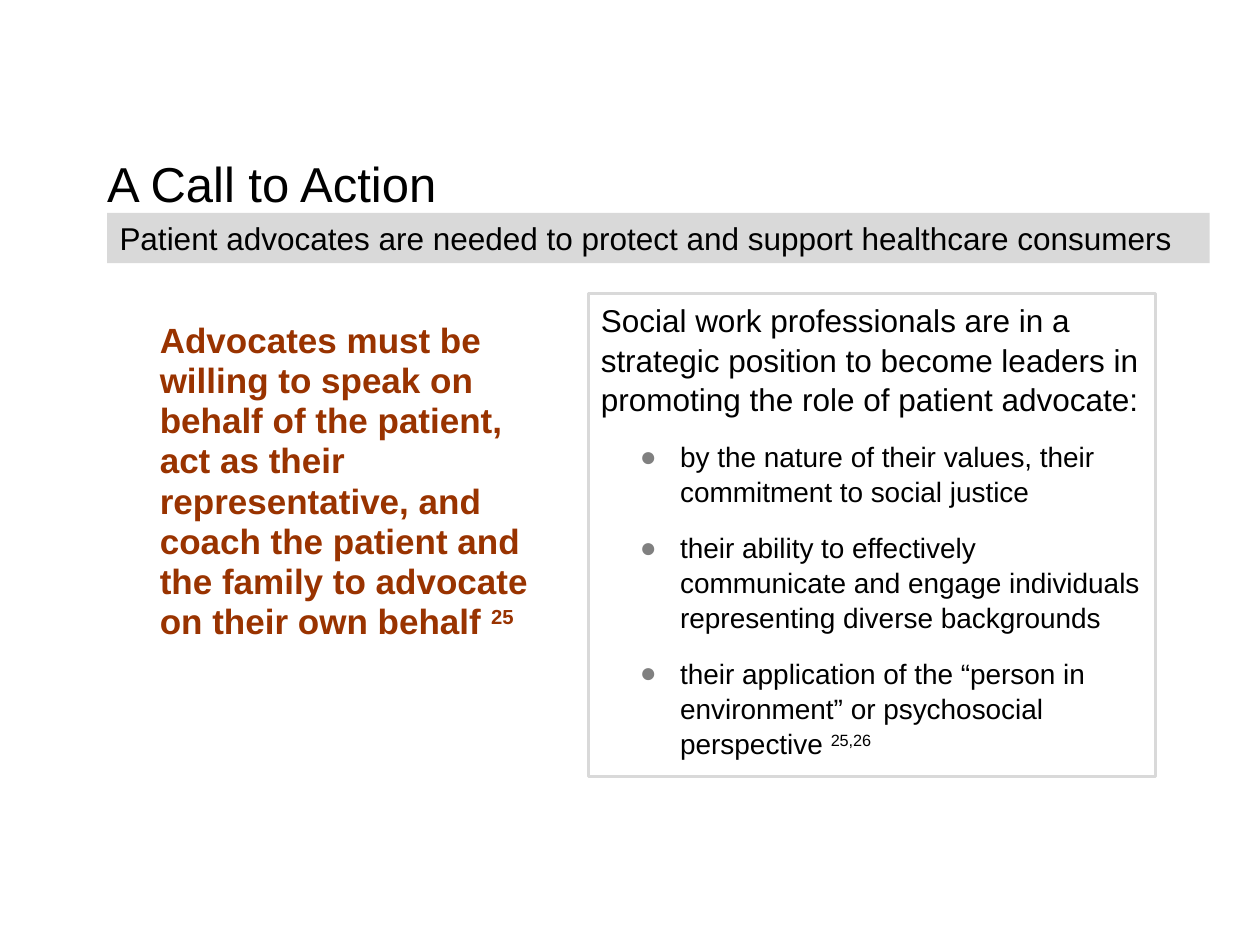
from dataclasses import dataclass

from lxml.etree import SubElement
from pptx import Presentation
from pptx.dml.color import RGBColor
from pptx.enum.shapes import MSO_SHAPE as Shape
from pptx.enum.text import MSO_ANCHOR as Anchor, PP_ALIGN as Align
from pptx.oxml.ns import qn
from pptx.util import Inches, Pt

BLACK = RGBColor(0x00, 0x00, 0x00)
WHITE = RGBColor(0xFF, 0xFF, 0xFF)
SILVER = RGBColor(0xD9, 0xD9, 0xD9)
GRAY = RGBColor(0x80, 0x80, 0x80)
RUST = RGBColor(0x99, 0x33, 0x00)
FONT = "Arial"
WIDTH, HEIGHT = Inches(10), Inches(7.5)


@dataclass(frozen=True)
class Area:
    """A rectangle in shares of the slide's size."""
    left: float
    top: float
    width: float
    height: float

    def bounds(self) -> tuple[int, int, int, int]:
        return (int(self.left * WIDTH), int(self.top * HEIGHT),
                int(self.width * WIDTH), int(self.height * HEIGHT))


@dataclass(frozen=True)
class Line:
    text: str
    size: int
    color: RGBColor = BLACK
    bold: bool = False
    note: str = ""
    before: float = 0
    spacing: object = None
    bullet: bool = False


TITLE = Area(0.075, 0.156, 0.875, 0.123)
BANNER = Area(0.085, 0.2253, 0.875, 0.0533)
QUOTE = Area(0.117, 0.332, 0.333, 0.357)
PANEL = Area(0.467, 0.3107, 0.45, 0.5107)


def add_span(para, line: Line, text: str, raised: bool = False) -> None:
    span = para.add_run()
    span.text = text
    font = span.font
    font.name, font.size, font.bold = FONT, Pt(line.size), line.bold
    font.color.rgb = line.color
    if raised:
        span._r.get_or_add_rPr().set("baseline", "30000")


def add_bullet(para) -> None:
    props = para._p.get_or_add_pPr()
    props.set("marL", str(Inches(0.63)))
    props.set("indent", str(Inches(-0.32)))
    color = SubElement(props, qn("a:buClr"))
    SubElement(color, qn("a:srgbClr")).set("val", str(GRAY))
    SubElement(props, qn("a:buFont")).set("typeface", FONT)
    SubElement(props, qn("a:buChar")).set("char", "●")


def write(box, lines: list[Line], anchor: Anchor = Anchor.TOP) -> None:
    frame = box.text_frame
    frame.word_wrap = True
    frame.vertical_anchor = anchor
    for index, line in enumerate(lines):
        para = frame.add_paragraph() if index else frame.paragraphs[0]
        para.alignment = Align.LEFT
        para.space_before = Pt(line.before)
        if line.spacing:
            para.line_spacing = line.spacing
        if line.bullet:
            add_bullet(para)
        add_span(para, line, line.text)
        if line.note:
            add_span(para, line, line.note, raised=True)


def add_box(page, area: Area, fill: RGBColor, outline: RGBColor | None = None):
    box = page.shapes.add_shape(Shape.RECTANGLE, *area.bounds())
    box.shadow.inherit = False
    box.fill.solid()
    box.fill.fore_color.rgb = fill
    if outline is None:
        box.line.fill.background()
    else:
        box.line.color.rgb = outline
        box.line.width = Pt(1.5)
    return box


def main() -> None:
    deck = Presentation()
    deck.slide_width, deck.slide_height = WIDTH, HEIGHT
    page = deck.slides.add_slide(deck.slide_layouts[5])

    # Title
    title = page.shapes.title
    title.left, title.top, title.width, title.height = TITLE.bounds()
    write(title, [Line("A Call to Action", 28)])

    # Banner under the title
    write(add_box(page, BANNER, SILVER), [Line(
        "Patient advocates are needed to protect and support healthcare consumers",
        18)], Anchor.MIDDLE)

    # Statement on the left
    write(page.shapes.add_textbox(*QUOTE.bounds()), [Line(
        "Advocates must be willing to speak on behalf of the patient, act as "
        "their representative, and coach the patient and the family to advocate "
        "on their own behalf ", 20, RUST, bold=True, note="25", spacing=Pt(23))])

    # Panel on the right
    reasons = [
        ("by the nature of their values, their commitment to social justice", ""),
        ("their ability to effectively communicate and engage individuals "
         "representing diverse backgrounds", ""),
        ("their application of the “person in environment” or psychosocial "
         "perspective ", "25,26"),
    ]
    intro = Line("Social work professionals are in a strategic position to become "
                 "leaders in promoting the role of patient advocate:", 18,
                 before=3.6, spacing=1.04)
    write(add_box(page, PANEL, WHITE, SILVER), [intro] + [
        Line(text, 16, note=note, before=12, spacing=1.04, bullet=True)
        for text, note in reasons])

    deck.save("out.pptx")


if __name__ == "__main__":
    main()
